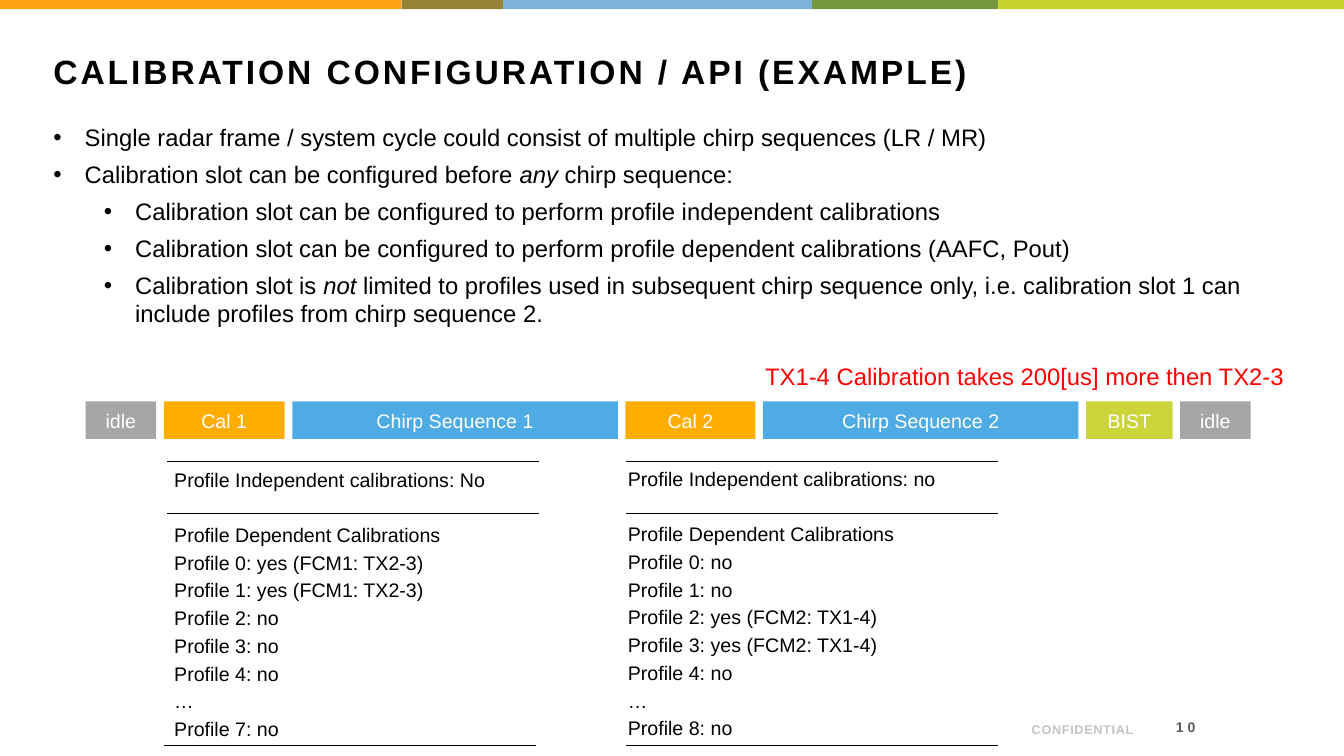
from dataclasses import dataclass

from lxml.etree import SubElement
from pptx import Presentation
from pptx.dml.color import RGBColor
from pptx.enum.shapes import MSO_CONNECTOR as Connector, MSO_SHAPE as Preset
from pptx.enum.text import MSO_ANCHOR as Anchor, MSO_AUTO_SIZE as AutoSize, PP_ALIGN as Align
from pptx.oxml.ns import qn
from pptx.util import Emu, Inches, Pt

SLIDE_WIDTH, SLIDE_HEIGHT = Inches(40 / 3), Inches(7.5)
COLUMNS, ROWS = 160, 90
FONT = "Arial"
BLACK, WHITE, GREY = "000000", "FFFFFF", "A6A6A6"
ORANGE, BLUE, LIME = "FFAD00", "4FABE3", "CBD53A"


@dataclass
class Block:
    """A filled rectangle in a row of blocks; width in grid columns."""
    width: float
    color: str
    label: str = ""


@dataclass
class Bullet:
    """A list item; the parts between asterisks are italic."""
    text: str
    level: int = 0


@dataclass
class CalibrationPanel:
    left: float
    top: float
    width: float
    lines: list[str]
    rule_lefts: list[float]


STRIPE = [Block(47.8, "FFA015"), Block(12.1, "958436"), Block(36.8, "7DB2DB"),
          Block(22.1, "73983E"), Block(41.2, "C7D22D")]
TIMELINE = [Block(8.4, GREY, "idle"), Block(14.4, ORANGE, "Cal 1"),
            Block(38.76, BLUE, "Chirp Sequence 1"), Block(15.48, ORANGE, "Cal 2"),
            Block(37.56, BLUE, "Chirp Sequence 2"), Block(10.3, LIME, "BIST"),
            Block(8.4, GREY, "idle")]
BULLETS = [
    Bullet("Single radar frame / system cycle could consist of multiple chirp sequences (LR / MR)"),
    Bullet("Calibration slot can be configured before *any *chirp sequence:"),
    Bullet("Calibration slot can be configured to perform profile independent calibrations", 1),
    Bullet("Calibration slot can be configured to perform profile dependent calibrations "
           "(AAFC, Pout)", 1),
    Bullet("Calibration slot is *not* limited to profiles used in subsequent chirp sequence only, "
           "i.e. calibration slot 1 can include profiles from chirp sequence 2.", 1),
]
PANELS = [
    CalibrationPanel(19.56, 55.1, 44.6, [
        "Profile Independent calibrations: No", "Profile Dependent Calibrations",
        "Profile 0: yes (FCM1: TX2-3)", "Profile 1: yes (FCM1: TX2-3)", "Profile 2: no",
        "Profile 3: no", "Profile 4: no", "…", "Profile 7: no"], [19.9, 19.9, 19.56]),
    CalibrationPanel(73.56, 55, 46.2, [
        "Profile Independent calibrations: no", "Profile Dependent Calibrations",
        "Profile 0: no", "Profile 1: no", "Profile 2: yes (FCM2: TX1-4)",
        "Profile 3: yes (FCM2: TX1-4)", "Profile 4: no", "…", "Profile 8: no"],
        [74.5, 74.5, 74.5]),
]
RULE_ROWS = [55, 61.1, 88.8]
RULE_WIDTH = 44.3


def column(count: float) -> Emu:
    return Emu(round(SLIDE_WIDTH * count / COLUMNS))


def row(count: float) -> Emu:
    return Emu(round(SLIDE_HEIGHT * count / ROWS))


def grid_box(left: float, top: float, width: float, height: float) -> tuple:
    return column(left), row(top), column(width), row(height)


def rgb(color: str) -> RGBColor:
    return RGBColor.from_string(color)


def place(shape, left: float, top: float, width: float, height: float) -> None:
    shape.left, shape.top, shape.width, shape.height = grid_box(left, top, width, height)


def format_paragraph(paragraph, size: float, color: str, bold: bool = False,
                     align=Align.LEFT, before: float = 0, tracking: float = 0) -> None:
    """Set font and spacing; tracking is the letter spacing in points."""
    font = paragraph.font
    font.name, font.size, font.bold = FONT, Pt(size), bold
    font.color.rgb = rgb(color)
    paragraph.alignment = align
    paragraph.space_before = Pt(before)
    paragraph.line_spacing = 1.0
    if tracking:
        for run in paragraph.runs:
            run._r.get_or_add_rPr().set("spc", str(round(tracking * 100)))


def add_text(slide, box: tuple, lines: list[str], size: float, color: str,
             anchor=Anchor.TOP, wrap: bool = True, **formatting):
    frame = slide.shapes.add_textbox(*grid_box(*box)).text_frame
    frame.word_wrap, frame.vertical_anchor = wrap, anchor
    frame.text = "\n".join(lines)
    for paragraph in frame.paragraphs:
        format_paragraph(paragraph, size, color, **formatting)
    return frame


def add_block_row(slide, blocks: list[Block], left: float, top: float,
                  height: float, gap: float = 0) -> None:
    for block in blocks:
        shape = slide.shapes.add_shape(
            Preset.RECTANGLE, *grid_box(left, top, block.width, height))
        shape.shadow.inherit = False
        shape.fill.solid()
        shape.fill.fore_color.rgb = rgb(block.color)
        shape.line.fill.background()
        if block.label:
            frame = shape.text_frame
            frame.vertical_anchor = Anchor.MIDDLE
            frame.margin_top = frame.margin_bottom = 0
            frame.text = block.label
            format_paragraph(frame.paragraphs[0], 14, WHITE, align=Align.CENTER)
        left += block.width + gap


def add_rule(slide, left: float, top: float) -> None:
    rule = slide.shapes.add_connector(
        Connector.STRAIGHT, column(left), row(top), column(left + RULE_WIDTH), row(top))
    rule.line.color.rgb = rgb(BLACK)
    rule.line.width = Pt(0.75)
    SubElement(rule._element.spPr, qn("a:effectLst"))


def add_panel(slide, panel: CalibrationPanel) -> None:
    frame = add_text(slide, (panel.left, panel.top, panel.width, 34.1), panel.lines,
                     14, BLACK, before=3)
    frame.paragraphs[1].space_before = Pt(22.5)
    for left, top in zip(panel.rule_lefts, RULE_ROWS):
        add_rule(slide, left, top)


def fill_title(title) -> None:
    place(title, 5.16, 5.4, 150, 8)
    frame = title.text_frame
    frame.auto_size, frame.vertical_anchor = AutoSize.NONE, Anchor.TOP
    frame.text = "CALIBRATION CONFIGURATION / API (EXAMPLE)"
    format_paragraph(frame.paragraphs[0], 24, BLACK, bold=True, tracking=2.1)


def fill_bullets(body) -> None:
    place(body, 5.16, 14, 152.2, 25.8)
    frame = body.text_frame
    frame.auto_size, frame.vertical_anchor = AutoSize.NONE, Anchor.TOP
    for index, bullet in enumerate(BULLETS):
        paragraph = frame.add_paragraph() if index else frame.paragraphs[0]
        paragraph.level = bullet.level
        for part, text in enumerate(bullet.text.split("*")):
            run = paragraph.add_run()
            run.text = text
            if part % 2:
                run.font.italic = True
        format_paragraph(paragraph, 17, BLACK, before=6)
        properties = paragraph._p.get_or_add_pPr()
        properties.set("marL", str(Inches(0.31 + 0.5 * bullet.level)))
        properties.set("indent", str(Inches(-0.31)))
        mark = properties.makeelement(qn("a:buChar"), {"char": "•"})
        properties.find(qn("a:defRPr")).addprevious(mark)


def main() -> None:
    presentation = Presentation()
    presentation.slide_width, presentation.slide_height = SLIDE_WIDTH, SLIDE_HEIGHT
    slide = presentation.slides.add_slide(presentation.slide_layouts[1])
    fill_title(slide.shapes.title)
    fill_bullets(slide.placeholders[1])
    add_block_row(slide, STRIPE, 0, 0, 1.08)
    add_block_row(slide, TIMELINE, 10.2, 47.8, 4.45, gap=0.9)
    for panel in PANELS:
        add_panel(slide, panel)
    add_text(slide, (89.9, 42.5, 65.2, 6.1), ["TX1-4 Calibration takes 200[us] more then TX2-3"],
             17, "FF0000", wrap=False, before=6)
    add_text(slide, (102.1, 84.2, 34, 4.1), ["CONFIDENTIAL"], 9, "C4C4C4",
             anchor=Anchor.BOTTOM, bold=True, align=Align.RIGHT, tracking=0.5)
    add_text(slide, (135.7, 84.8, 7.8, 3.6), ["10"], 10, "595959",
             anchor=Anchor.MIDDLE, bold=True, align=Align.RIGHT, tracking=3)
    presentation.save("out.pptx")


if __name__ == "__main__":
    main()
